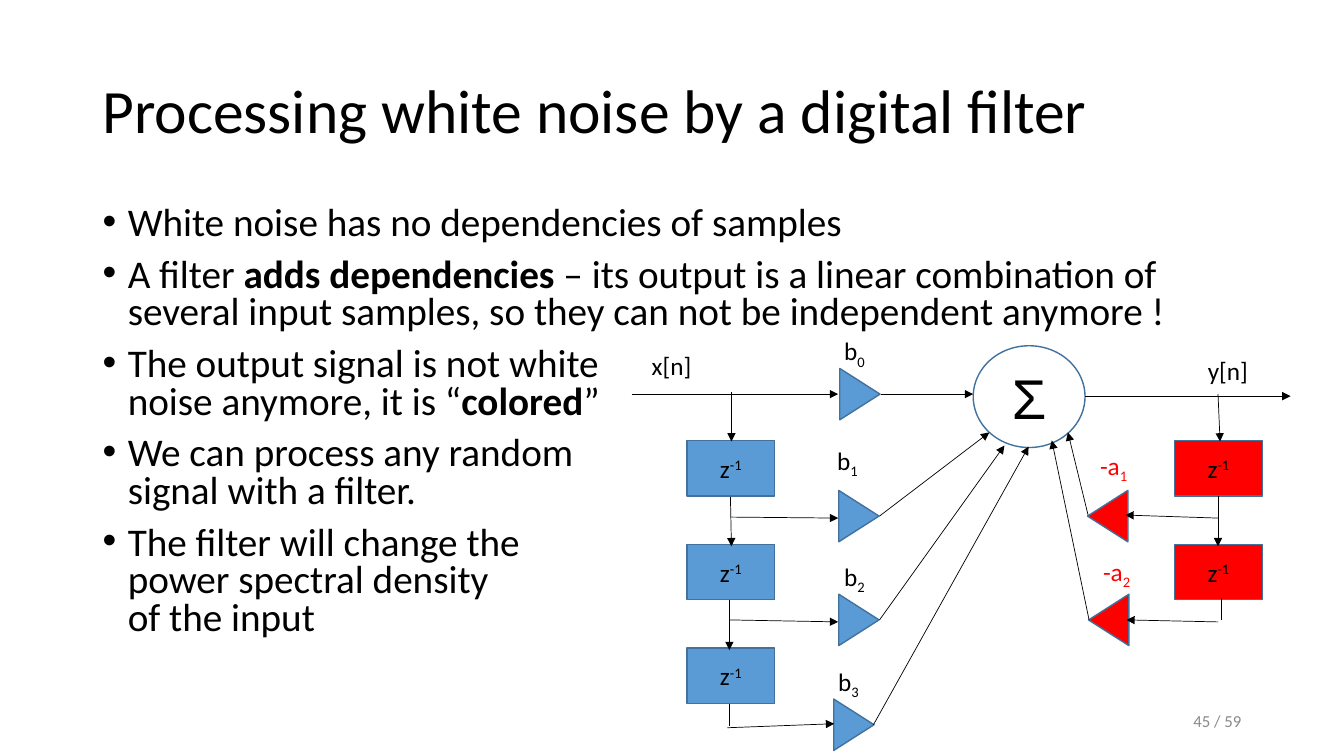
from dataclasses import dataclass

from lxml.etree import SubElement
from pptx import Presentation
from pptx.dml.color import RGBColor
from pptx.enum.shapes import MSO_CONNECTOR as Connector, MSO_SHAPE as Preset
from pptx.enum.text import MSO_ANCHOR as Anchor, PP_ALIGN as Align
from pptx.oxml.ns import qn
from pptx.util import Inches, Pt

BLACK, RED, BLUE, OUTLINE, GREY = "000000", "FF0000", "5B9BD5", "41719C", "898989"
SUBSCRIPT, SUPERSCRIPT = -25000, 30000
DELAY_TOP, DELAY_PITCH = 4.37, 1.03


@dataclass
class Part:
    """A piece of text in one style; a newline is a line break."""
    text: str
    bold: bool = False
    baseline: int = 0


@dataclass
class Gain:
    left: float
    top: float
    label: str
    index: str
    label_left: float
    label_top: float
    feedback: bool = False


@dataclass
class Delay:
    left: float
    row: int
    fill: str


@dataclass
class Wire:
    x1: float
    y1: float
    x2: float
    y2: float
    arrow: bool = True


BULLETS = [
    [Part("White noise has no dependencies of samples")],
    [Part("A filter "), Part("adds dependencies", bold=True),
     Part(" – its output is a linear combination of several input samples, "
          "so they can not be independent anymore !")],
    [Part("The output signal is not white\nnoise anymore, it is “"),
     Part("colored", bold=True), Part("”")],
    [Part("We can process any random\nsignal with a filter.")],
    [Part("The filter will change the\npower spectral density\nof the input")],
]

GAINS = [
    Gain(8.28, 3.71, "b", "0", 8.28, 3.28),
    Gain(8.27, 4.92, "b", "1", 8.21, 4.37),
    Gain(8.27, 5.95, "b", "2", 8.28, 5.52),
    Gain(8.22, 6.99, "b", "3", 8.22, 6.56),
    Gain(10.74, 4.92, "-a", "1", 10.82, 4.42, feedback=True),
    Gain(10.75, 5.95, "-a", "2", 10.85, 5.47, feedback=True),
]

DELAYS = ([Delay(6.82, row, BLUE) for row in range(3)]
          + [Delay(11.66, row, RED) for row in range(2)])

WIRES = [
    # input and its delay line
    Wire(6.27, 3.91, 8.32, 3.91), Wire(7.26, 3.89, 7.26, 4.38),
    Wire(7.25, 4.93, 7.26, 5.42), Wire(7.24, 5.95, 7.24, 6.45),
    Wire(7.24, 6.98, 7.24, 7.2, arrow=False),
    # taps to the b gains
    Wire(7.26, 5.13, 8.32, 5.14), Wire(7.24, 6.15, 8.32, 6.17),
    Wire(7.22, 7.22, 8.28, 7.18),
    # gains to the sum
    Wire(8.74, 3.91, 9.66, 3.91), Wire(8.73, 5.12, 9.82, 4.29),
    Wire(8.73, 6.15, 9.97, 4.42), Wire(8.67, 7.19, 10.21, 4.43),
    Wire(10.8, 5.11, 10.6, 4.29), Wire(10.81, 6.15, 10.44, 4.37),
    # output and its delay line
    Wire(10.77, 3.93, 12.81, 3.93), Wire(12.09, 3.91, 12.11, 4.38),
    Wire(12.09, 4.92, 12.09, 5.42), Wire(12.12, 5.93, 12.12, 6.15, arrow=False),
    # taps to the a gains
    Wire(12.09, 5.14, 11.17, 5.11), Wire(12.09, 6.17, 11.18, 6.15),
]


def rgb(value: str) -> RGBColor:
    return RGBColor.from_string(value)


def write(paragraph, parts: list[Part], size: float, color: str = BLACK,
          font: str = "Calibri", align: Align = Align.LEFT) -> None:
    paragraph.alignment = align
    paragraph.font.size = Pt(size)
    paragraph.font.name = font
    paragraph.font.color.rgb = rgb(color)
    for part in parts:
        for number, line in enumerate(part.text.split("\n")):
            if number:
                paragraph.add_line_break()
            run = paragraph.add_run()
            run.text = line
            if part.bold:
                run.font.bold = True
            if part.baseline:
                run._r.get_or_add_rPr().set("baseline", str(part.baseline))


def add_frame(slide, left: float, top: float, width: float, height: float,
              anchor: Anchor = Anchor.TOP):
    """Add a wrapping text box and return its text frame."""
    box = slide.shapes.add_textbox(Inches(left), Inches(top), Inches(width), Inches(height))
    frame = box.text_frame
    frame.word_wrap = True
    frame.vertical_anchor = anchor
    return frame


def add_bullets(slide) -> None:
    frame = add_frame(slide, 0.92, 2, 11.5, 4.76)
    for number, parts in enumerate(BULLETS):
        paragraph = frame.add_paragraph() if number else frame.paragraphs[0]
        paragraph.line_spacing = 0.8
        if number:
            paragraph.space_before = Pt(10)
        properties = paragraph._p.get_or_add_pPr()
        properties.set("marL", str(Inches(0.25)))
        properties.set("indent", str(Inches(-0.25)))
        SubElement(properties, qn("a:buFont"), typeface="Arial")
        SubElement(properties, qn("a:buChar"), char="•")
        write(paragraph, parts, 28)


def add_block(slide, preset: Preset, left: float, top: float, width: float,
              height: float, fill: str | None = None):
    block = slide.shapes.add_shape(preset, Inches(left), Inches(top),
                                   Inches(width), Inches(height))
    block.shadow.inherit = False
    if fill:
        block.fill.solid()
        block.fill.fore_color.rgb = rgb(fill)
    else:
        block.fill.background()
    block.line.color.rgb = rgb(OUTLINE)
    block.line.width = Pt(1)
    block.text_frame.vertical_anchor = Anchor.MIDDLE
    return block


def add_delay(slide, delay: Delay) -> None:
    top = DELAY_TOP + delay.row * DELAY_PITCH
    block = add_block(slide, Preset.RECTANGLE, delay.left, top, 0.87, 0.55, delay.fill)
    write(block.text_frame.paragraphs[0], [Part("z"), Part("-1", baseline=SUPERSCRIPT)],
          18, align=Align.CENTER)


def add_gain(slide, gain: Gain) -> None:
    triangle = add_block(slide, Preset.FLOWCHART_EXTRACT, gain.left, gain.top, 0.51, 0.4,
                         RED if gain.feedback else BLUE)
    triangle.rotation = 270 if gain.feedback else 90
    label = add_frame(slide, gain.label_left, gain.label_top,
                      0.55 if gain.feedback else 0.45, 0.44)
    write(label.paragraphs[0], [Part(gain.label), Part(gain.index, baseline=SUBSCRIPT)],
          18, RED if gain.feedback else BLACK)


def add_wire(slide, wire: Wire) -> None:
    line = slide.shapes.add_connector(Connector.STRAIGHT, Inches(wire.x1), Inches(wire.y1),
                                      Inches(wire.x2), Inches(wire.y2))
    line.line.color.rgb = rgb(BLACK)
    line.line.width = Pt(0.5)
    if wire.arrow:
        SubElement(line.line._get_or_add_ln(), qn("a:tailEnd"), type="triangle")
    SubElement(line._element.spPr, qn("a:effectLst"))


def main() -> None:
    deck = Presentation()
    deck.slide_width, deck.slide_height = Inches(13.34), Inches(7.5)
    slide = deck.slides.add_slide(deck.slide_layouts[6])

    title = add_frame(slide, 0.92, 0.4, 11.5, 1.45, Anchor.MIDDLE).paragraphs[0]
    title.line_spacing = 0.9
    write(title, [Part("Processing white noise by a digital filter")], 44)
    add_bullets(slide)
    page = add_frame(slide, 9.42, 6.95, 3, 0.4, Anchor.MIDDLE).paragraphs[0]
    write(page, [Part("45 / 59")], 12, GREY, align=Align.RIGHT)

    for delay in DELAYS:
        add_delay(slide, delay)
    for gain in GAINS:
        add_gain(slide, gain)
    adder = add_block(slide, Preset.OVAL, 9.66, 3.43, 1.11, 1.01)
    write(adder.text_frame.paragraphs[0], [Part("Σ")], 40, font="Arial", align=Align.CENTER)
    for signal, left, top in (("x[n]", 6.37, 3.43), ("y[n]", 11.89, 3.48)):
        write(add_frame(slide, left, top, 0.92, 0.4).paragraphs[0], [Part(signal)], 18)
    for wire in WIRES:
        add_wire(slide, wire)

    deck.save("out.pptx")


if __name__ == "__main__":
    main()
